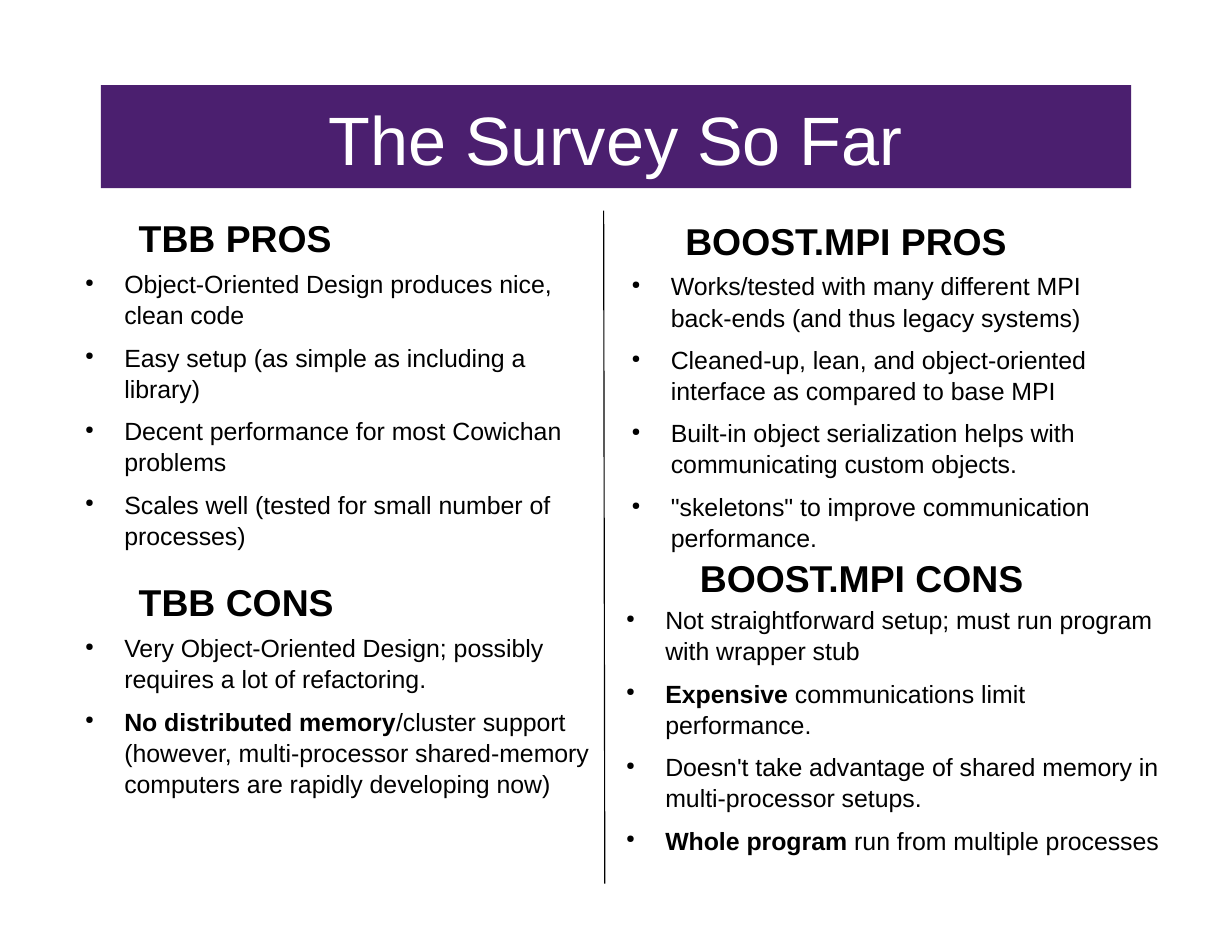
from lxml import etree
from pptx import Presentation
from pptx import util as u
from pptx.dml.color import RGBColor
from pptx.enum import shapes, text
from pptx.oxml import ns


def color(value):
    return RGBColor.from_string(value)


class SlideBuilder:
    """Draw styled elements on the current slide."""

    font = "Arial"
    ink = "000000"
    paper = "FFFFFF"
    purple = "4B1F6F"
    line_spacing = 1.04

    def __init__(self, slide):
        self.slide = slide

    def frame(self, shape, horizontal=0, vertical=0):
        frame = shape.text_frame
        frame.word_wrap = True
        frame.margin_left = frame.margin_right = u.Inches(horizontal)
        frame.margin_top = frame.margin_bottom = u.Inches(vertical)
        return frame

    def style(self, paragraph, size, ink):
        paragraph.line_spacing = self.line_spacing
        for run in paragraph.runs:
            run.font.name = self.font
            run.font.size = u.Pt(size)
            run.font.color.rgb = color(ink)

    def box(self, left, top, width, height):
        return self.slide.shapes.add_textbox(
            u.Inches(left), u.Inches(top), u.Inches(width), u.Inches(height))

    def title(self, words, left, top, width, height):
        banner = self.slide.shapes.add_shape(
            shapes.MSO_SHAPE.RECTANGLE,
            u.Inches(left), u.Inches(top), u.Inches(width), u.Inches(height))
        banner.shadow.inherit = False
        banner.fill.solid()
        banner.fill.fore_color.rgb = color(self.purple)
        banner.line.fill.background()
        frame = self.frame(banner)
        frame.vertical_anchor = text.MSO_ANCHOR.MIDDLE
        frame.text = words
        paragraph = frame.paragraphs[0]
        paragraph.alignment = text.PP_ALIGN.CENTER
        self.style(paragraph, 44, self.paper)

    def heading(self, words, left, top):
        frame = self.frame(self.box(left, top, 3.99, 0.53), 0.1, 0.05)
        frame.text = words
        paragraph = frame.paragraphs[0]
        self.style(paragraph, 24, self.ink)
        paragraph.runs[0].font.bold = True

    def add_bullet(self, paragraph):
        properties = paragraph._p.get_or_add_pPr()
        properties.set("marL", str(u.Inches(0.47)))
        properties.set("indent", str(u.Inches(-0.35)))
        bullet_color = etree.SubElement(properties, ns.qn("a:buClr"))
        etree.SubElement(bullet_color, ns.qn("a:srgbClr"), val=self.ink)
        etree.SubElement(properties, ns.qn("a:buSzPct"), val="45000")
        etree.SubElement(properties, ns.qn("a:buChar"), char="●")

    def bullets(self, items, left, top, width, height):
        frame = self.frame(self.box(left, top, width, height))
        for index, (strong, plain) in enumerate(items):
            paragraph = frame.add_paragraph() if index else frame.paragraphs[0]
            self.add_bullet(paragraph)
            paragraph.space_after = u.Pt(7.3)
            for words, bold in ((strong, True), (plain, False)):
                if words:
                    run = paragraph.add_run()
                    run.text = words
                    run.font.bold = bold
            self.style(paragraph, 16, self.ink)

    def divider(self, start_x, start_y, end_x, end_y):
        line = self.slide.shapes.add_connector(
            shapes.MSO_CONNECTOR.STRAIGHT,
            u.Inches(start_x), u.Inches(start_y), u.Inches(end_x), u.Inches(end_y))
        line.line.color.rgb = color(self.ink)
        line.line.width = u.Pt(0.75)
        etree.SubElement(line._element.spPr, ns.qn("a:effectLst"))


SECTIONS = [
    ("TBB PROS", (1.14, 1.86), (0.64, 2.39, 4.66, 2.75), [
        ("", "Object-Oriented Design produces nice, clean code"),
        ("", "Easy setup (as simple as including a library)"),
        ("", "Decent performance for most Cowichan problems"),
        ("", "Scales well (tested for small number of processes)"),
    ]),
    ("TBB CONS", (1.14, 5.11), (0.64, 5.64, 4.66, 2), [
        ("", "Very Object-Oriented Design; possibly requires a lot of refactoring."),
        ("No distributed memory", "/cluster support (however, multi-processor "
         "shared-memory computers are rapidly developing now)"),
    ]),
    ("BOOST.MPI PROS", (6.02, 1.88), (5.52, 2.41, 4.66, 2.75), [
        ("", "Works/tested with many different MPI back-ends (and thus legacy systems)"),
        ("", "Cleaned-up, lean, and object-oriented interface as compared to base MPI"),
        ("", "Built-in object serialization helps with communicating custom objects."),
        ("", '"skeletons" to improve communication performance.'),
    ]),
    ("BOOST.MPI CONS", (6.15, 4.89), (5.47, 5.39, 4.91, 2.75), [
        ("", "Not straightforward setup; must run program with wrapper stub"),
        ("Expensive", " communications limit performance."),
        ("", "Doesn't take advantage of shared memory in multi-processor setups."),
        ("Whole program", " run from multiple processes"),
    ]),
]


def main():
    presentation = Presentation()
    presentation.slide_width = u.Inches(11)
    presentation.slide_height = u.Inches(8.5)
    builder = SlideBuilder(presentation.slides.add_slide(presentation.slide_layouts[6]))
    builder.title("The Survey So Far", 0.9, 0.76, 9.2, 0.92)
    builder.divider(5.39, 1.88, 5.4, 7.89)
    for heading, heading_place, list_place, items in SECTIONS:
        builder.heading(heading, *heading_place)
        builder.bullets(items, *list_place)
    presentation.save("out.pptx")


if __name__ == "__main__":
    main()
